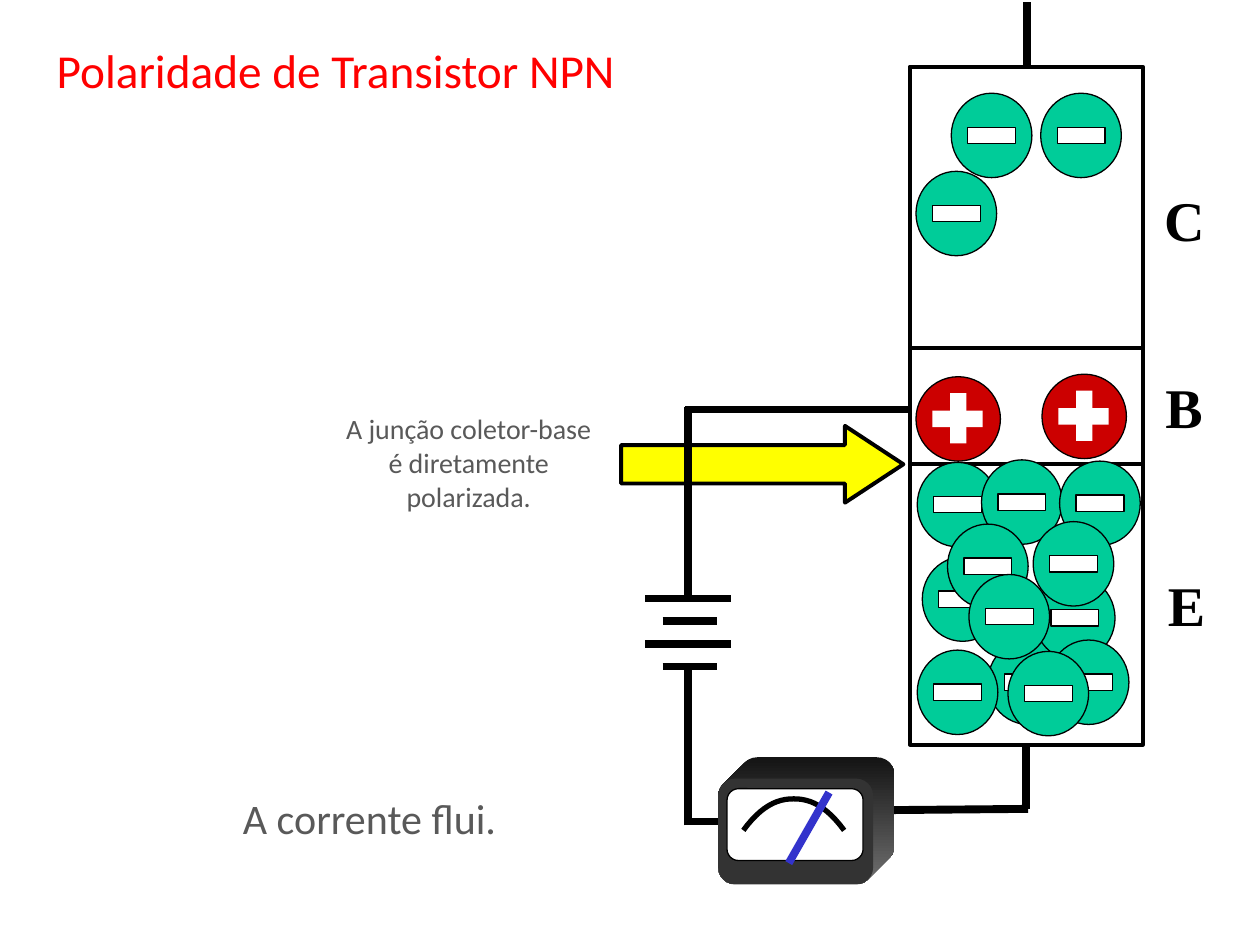
from math import cos, radians, sin

from lxml.etree import SubElement
from pptx import Presentation
from pptx.dml.color import RGBColor
from pptx.enum.shapes import MSO_CONNECTOR, MSO_SHAPE
from pptx.enum.text import MSO_ANCHOR, PP_ALIGN
from pptx.oxml.ns import qn
from pptx.util import Inches, Pt

BLACK = RGBColor(0x00, 0x00, 0x00)
WHITE = RGBColor(0xFF, 0xFF, 0xFF)
RED = RGBColor(0xFF, 0x00, 0x00)
GRAY = RGBColor(0x59, 0x59, 0x59)
YELLOW = RGBColor(0xFF, 0xFF, 0x00)
ELECTRON_GREEN = RGBColor(0x00, 0xCC, 0x99)
HOLE_RED = RGBColor(0xCC, 0x00, 0x00)
NEEDLE_BLUE = RGBColor(0x33, 0x33, 0xCC)
CASE_FRONT = RGBColor(0x33, 0x33, 0x33)
CASE_DARK = RGBColor(0x14, 0x14, 0x14)
CASE_LIGHT = RGBColor(0x70, 0x70, 0x70)

# Label, label offset, top within the transistor, height, charge, charge offsets
REGIONS = [
    ("C", (1.92, 0.89), 0, 2.23, "electron",
     [(0.33, 0.21), (1.04, 0.21), (0.05, 0.83)]),
    ("B", (1.93, 0.15), 2.23, 0.92, "hole", [(1.05, 0.21), (0.05, 0.23)]),
    ("E", (1.95, 0.80), 3.15, 2.23, "electron",
     [(0.06, -0.01), (0.62, 1.40), (0.06, 1.48), (0.99, 0.89),
      (0.10, 0.74), (0.57, -0.03), (1.10, 1.40), (0.30, 0.48),
      (1.19, -0.02), (0.78, 1.49), (0.98, 0.46), (0.47, 0.88)]),
]
# Width, height, disc colour, sign outline, bars of the sign
CHARGES = {
    "electron": (0.64, 0.67, ELECTRON_GREEN, 0.75, [(0.13, 0.27, 0.38, 0.13)]),
    "hole": (0.67, 0.67, HOLE_RED, 0,
             [(0.13, 0.27, 0.4, 0.13), (0.27, 0.13, 0.13, 0.4)]),
}


def style(shape, fill=None, line_width=0):
    shape.shadow.inherit = False
    if fill is None:
        shape.fill.background()
    else:
        shape.fill.solid()
        shape.fill.fore_color.rgb = fill
    if line_width:
        shape.line.color.rgb = BLACK
        shape.line.width = Pt(line_width)
    else:
        shape.line.fill.background()
    return shape


def add_box(shapes, kind, left, top, width, height, **look):
    shape = shapes.add_shape(kind, Inches(left), Inches(top),
                             Inches(width), Inches(height))
    return style(shape, **look)


def add_outline(shapes, points, close):
    corners = [(Inches(x), Inches(y)) for x, y in points]
    builder = shapes.build_freeform(*corners[0])
    builder.add_line_segments(corners[1:], close=close)
    return builder.convert_to_shape()


def add_wire(shapes, x1, y1, x2, y2, color=BLACK):
    wire = shapes.add_connector(MSO_CONNECTOR.STRAIGHT, Inches(x1), Inches(y1),
                                Inches(x2), Inches(y2))
    wire.line.color.rgb = color
    wire.line.width = Pt(4.5)
    SubElement(wire._element.spPr, qn("a:effectLst"))


def write(shape, text, size, color, font="Calibri", bold=False,
          align=PP_ALIGN.LEFT):
    frame = shape.text_frame
    frame.word_wrap = False
    frame.vertical_anchor = MSO_ANCHOR.TOP
    for index, line in enumerate(text.split("\n")):
        para = frame.add_paragraph() if index else frame.paragraphs[0]
        para.alignment = align
        span = para.add_run()
        span.text = line
        span.font.name = font
        span.font.size = Pt(size)
        span.font.bold = bold
        span.font.color.rgb = color


def add_text(shapes, left, top, width, height, text, size, color, **look):
    box = shapes.add_textbox(Inches(left), Inches(top),
                             Inches(width), Inches(height))
    write(box, text, size, color, **look)


def add_title(page, left, top, width, height):
    title = page.shapes.title
    title.left, title.top = Inches(left), Inches(top)
    title.width, title.height = Inches(width), Inches(height)
    write(title, "Polaridade de Transistor NPN", 27, RED)


def add_callout(page, left, top):
    shapes = page.shapes.add_group_shape().shapes
    arrow = add_box(shapes, MSO_SHAPE.RIGHT_ARROW, left + 2.35, top + 0.16,
                    2.24, 0.61, fill=YELLOW, line_width=2.25)
    arrow.adjustments[1] = 0.76
    add_text(shapes, left, top, 2.28, 0.91,
             "A junção coletor-base\né diretamente\npolarizada.",
             16, GRAY, align=PP_ALIGN.CENTER)


def add_charge(page, kind, left, top):
    width, height, color, outline, bars = CHARGES[kind]
    shapes = page.shapes.add_group_shape().shapes
    add_box(shapes, MSO_SHAPE.OVAL, left, top, width, height,
            fill=color, line_width=0.75)
    for x, y, bar_width, bar_height in bars:
        add_box(shapes, MSO_SHAPE.RECTANGLE, left + x, top + y,
                bar_width, bar_height, fill=WHITE, line_width=outline)


def add_transistor(page, left, top, width):
    # Regions first, so that charges lie over the borders
    for _, _, offset, height, _, _ in REGIONS:
        add_box(page.shapes, MSO_SHAPE.RECTANGLE, left, top + offset,
                width, height, line_width=2.25)
    for label, (x, y), offset, _, charge, places in REGIONS:
        add_text(page.shapes, left + x, top + offset + y, 0.5, 0.58, label,
                 32, BLACK, font="Times New Roman", bold=True)
        for charge_x, charge_y in places:
            add_charge(page, charge, left + charge_x, top + offset + charge_y)


def add_battery(page, left, top):
    shapes = page.shapes.add_group_shape().shapes
    for index, inset in enumerate([0, 0.14, 0, 0.14]):
        y = top + index * 0.18
        add_wire(shapes, left + inset, y, left + 0.68 - inset * 0.8, y)


def add_circuit(page):
    for ends in [
        (8.14, 5.92, 8.14, 6.42),  # emitter
        (5.44, 3.25, 7.22, 3.25),  # base
        (8.15, 0.02, 8.15, 0.52),  # collector
        (5.46, 4.77, 5.46, 3.23),  # battery to base
        (5.46, 6.55, 5.46, 5.29),  # battery to meter
        (8.16, 6.42, 7.01, 6.43),  # meter to emitter
        (5.49, 6.52, 5.70, 6.52),  # meter input
    ]:
        add_wire(page.shapes, *ends)


def add_meter(page, left, top, width, height):
    shapes = page.shapes
    radius, depth = 0.14, 0.17
    # Solid case: the outline around the front and the shifted back
    near_x, far_x = left + radius, left + width - radius
    near_y, far_y = top + radius, top + height - radius
    corners = [
        (near_x + depth, near_y - depth, 225, 270),
        (far_x + depth, near_y - depth, 270, 360),
        (far_x + depth, far_y - depth, 0, 45),
        (far_x, far_y, 45, 90),
        (near_x, far_y, 90, 180),
        (near_x, near_y, 180, 225),
    ]
    outline = [(x + radius * cos(radians(angle)), y + radius * sin(radians(angle)))
               for x, y, start, end in corners
               for angle in range(start, end + 1, 15)]
    case = style(add_outline(shapes, outline, True))
    case.fill.gradient()
    case.fill.gradient_angle = 270
    for stop, color in zip(case.fill.gradient_stops, (CASE_DARK, CASE_LIGHT)):
        stop.color.rgb = color
    front = add_box(shapes, MSO_SHAPE.ROUNDED_RECTANGLE, left, top, width, height,
                    fill=CASE_FRONT)
    front.adjustments[0] = 0.16
    # Dial, scale and needle
    dial = add_box(shapes, MSO_SHAPE.ROUNDED_RECTANGLE, left + 0.07, top + 0.08,
                   1.08, 0.57, fill=WHITE, line_width=0.75)
    dial.adjustments[0] = 0.16
    scale = [(left + 0.6 + 0.4 * step / 12,
              top + 0.16 + 0.25 * abs(step / 12) ** 2.2)
             for step in range(-12, 13)]
    style(add_outline(shapes, scale, False), line_width=3)
    add_wire(shapes, left + 0.88, top + 0.11, left + 0.56, top + 0.67, NEEDLE_BLUE)


def main():
    deck = Presentation()
    deck.slide_width, deck.slide_height = Inches(10), Inches(7.5)
    page = deck.slides.add_slide(deck.slide_layouts[5])
    add_title(page, 0.35, 0.28, 4.87, 0.56)
    add_callout(page, 2.58, 3.22)
    add_transistor(page, 7.22, 0.53, 1.85)
    add_battery(page, 5.12, 4.75)
    add_circuit(page)
    add_meter(page, 5.7, 6.18, 1.23, 0.84)
    add_text(page.shapes, 1.83, 6.24, 2.23, 0.5, "A corrente flui.", 24, GRAY)
    deck.save("out.pptx")


if __name__ == "__main__":
    main()
